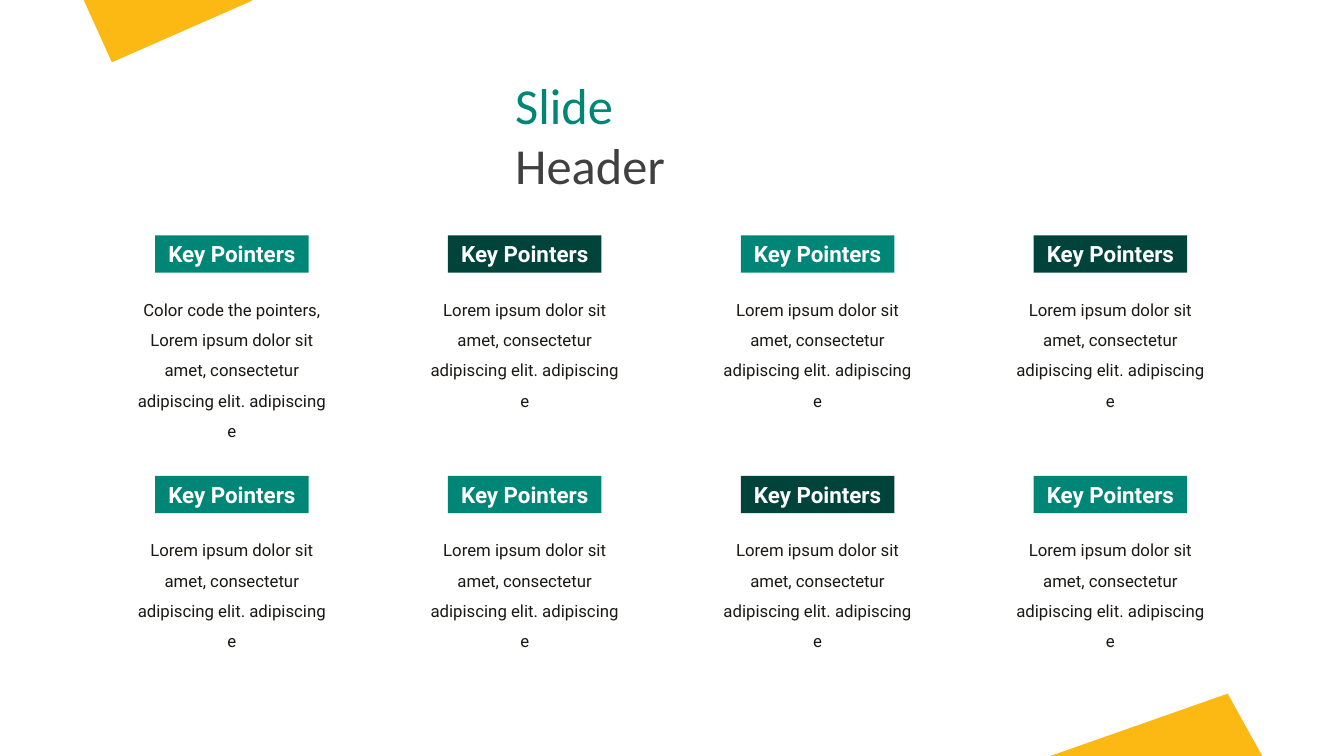
from pptx import Presentation
from pptx.dml.color import RGBColor
from pptx.enum.shapes import MSO_SHAPE
from pptx.enum.text import MSO_ANCHOR, MSO_AUTO_SIZE, PP_ALIGN
from pptx.util import Cm, Pt

TEAL = RGBColor(0x00, 0x86, 0x76)
DARK_TEAL = RGBColor(0x00, 0x43, 0x3B)
YELLOW = RGBColor(0xFD, 0xB9, 0x13)
GREY = RGBColor(0x40, 0x40, 0x40)
INK = RGBColor(0x1C, 0x18, 0x15)
WHITE = RGBColor(0xFF, 0xFF, 0xFF)

LOREM = "Lorem ipsum dolor sit amet, consectetur adipiscing elit. adipiscing e"
CARD_ROWS = [
    [
        (TEAL, "Color code the pointers, " + LOREM),
        (DARK_TEAL, LOREM),
        (TEAL, LOREM),
        (DARK_TEAL, LOREM),
    ],
    [(TEAL, LOREM), (TEAL, LOREM), (DARK_TEAL, LOREM), (TEAL, LOREM)],
]

TAG_FONT = {"name": "Roboto", "size": Pt(16), "bold": True}
BODY_FONT = {"name": "Roboto", "size": Pt(12)}
TITLE_FONT = {"name": "Calibri", "size": Pt(36)}


def add_run(paragraph, text, color, font_format):
    run = paragraph.add_run()
    run.text = text
    for attribute, value in font_format.items():
        setattr(run.font, attribute, value)
    run.font.color.rgb = color


def add_corner(slide, left, top, points):
    """Draw a yellow corner piece; points are in centimetres from left, top."""
    vertices = [(left + Cm(x), top + Cm(y)) for x, y in points]
    builder = slide.shapes.build_freeform(*vertices[0])
    builder.add_line_segments(vertices[1:], close=True)
    shape = builder.convert_to_shape()
    shape.shadow.inherit = False
    shape.fill.solid()
    shape.fill.fore_color.rgb = YELLOW
    shape.line.fill.background()


def fill_title(slide, left, top, width, height):
    title = slide.shapes.title
    title.left, title.top, title.width, title.height = left, top, width, height
    frame = title.text_frame
    frame.word_wrap = True
    frame.auto_size = MSO_AUTO_SIZE.NONE
    frame.vertical_anchor = MSO_ANCHOR.TOP
    paragraph = frame.paragraphs[0]
    paragraph.alignment = PP_ALIGN.LEFT
    add_run(paragraph, "Slide ", TEAL, TITLE_FONT)
    add_run(paragraph, "Header", GREY, TITLE_FONT)


def add_card(slide, left, top, width, height, color, text):
    # Body text below the tag
    body_offset = Cm(1.24)
    body = slide.shapes.add_textbox(
        left, top + body_offset, width, height - body_offset
    )
    body.text_frame.word_wrap = True
    paragraph = body.text_frame.paragraphs[0]
    paragraph.alignment = PP_ALIGN.CENTER
    paragraph.line_spacing = 1.5
    add_run(paragraph, text, INK, BODY_FONT)

    # Coloured tag, centred on the card
    tag_width = Cm(3.87)
    tag = slide.shapes.add_shape(
        MSO_SHAPE.RECTANGLE, left + (width - tag_width) // 2, top, tag_width, Cm(0.94)
    )
    tag.shadow.inherit = False
    tag.fill.solid()
    tag.fill.fore_color.rgb = color
    tag.line.fill.background()
    tag.text_frame.word_wrap = False
    paragraph = tag.text_frame.paragraphs[0]
    paragraph.alignment = PP_ALIGN.CENTER
    add_run(paragraph, "Key Pointers", WHITE, TAG_FONT)


def add_card_grid(slide, left, top, column_pitch, row_pitch):
    for row, cards in enumerate(CARD_ROWS):
        for column, (color, text) in enumerate(cards):
            add_card(
                slide,
                left + column * column_pitch,
                top + row * row_pitch,
                Cm(5.49),
                Cm(5.35) if text != LOREM else Cm(4.5),
                color,
                text,
            )


def main():
    presentation = Presentation()
    presentation.slide_width = Cm(33.87)
    presentation.slide_height = Cm(19.05)
    slide = presentation.slides.add_slide(presentation.slide_layouts[5])

    # Corner decorations
    add_corner(slide, Cm(26.47), Cm(17.48), [(4.47, 0), (0, 1.57), (5.34, 1.57)])
    add_corner(slide, Cm(2.11), Cm(0), [(0.71, 1.57), (4.24, 0.02), (4.24, 0), (0, 0)])

    # Header and key pointers
    fill_title(slide, Cm(12.73), Cm(1.73), Cm(6.3), Cm(1.8))
    add_card_grid(slide, Cm(3.1), Cm(5.93), Cm(7.38), Cm(6.06))

    presentation.save("out.pptx")


if __name__ == "__main__":
    main()
